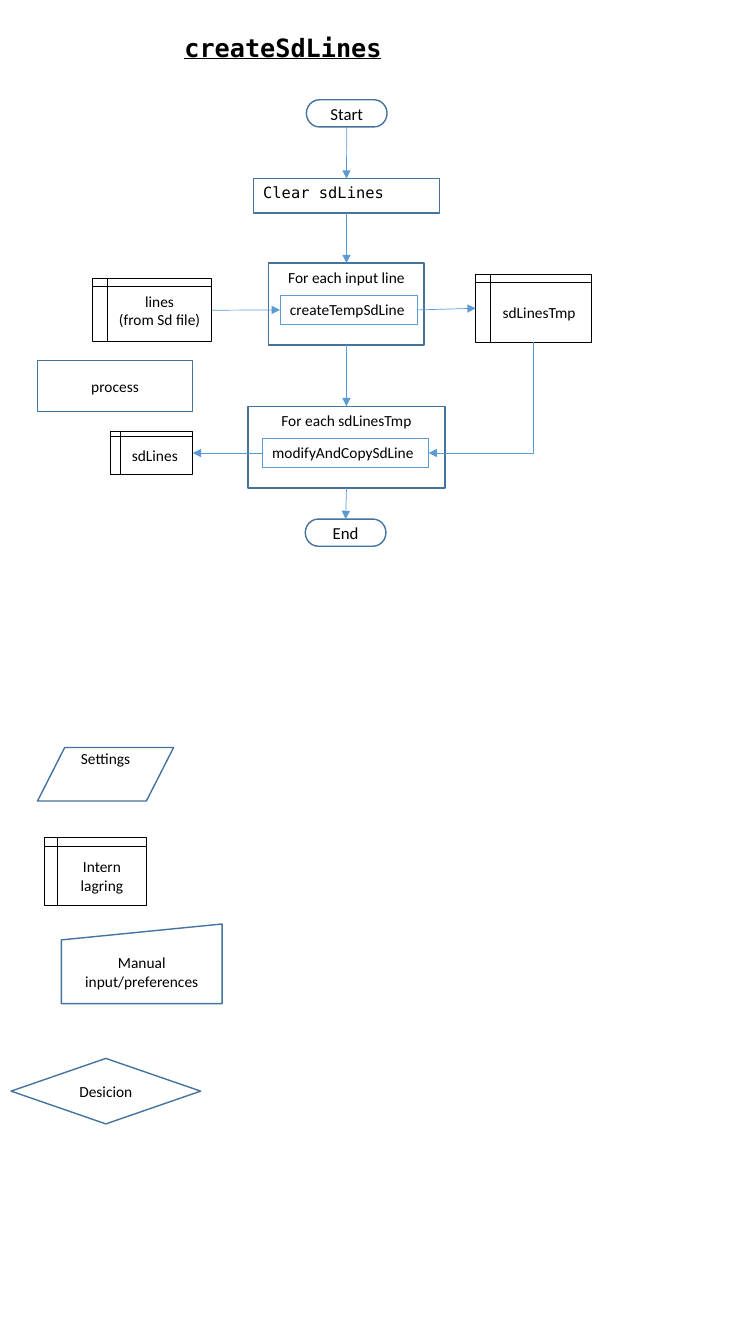
from lxml import etree
from pptx import Presentation
from pptx.dml.color import RGBColor
from pptx.enum.shapes import MSO_CONNECTOR, MSO_SHAPE
from pptx.enum.text import MSO_ANCHOR, MSO_AUTO_SIZE, PP_ALIGN
from pptx.oxml.ns import qn
from pptx.util import Pt

PROCESS = MSO_SHAPE.FLOWCHART_PROCESS
STORAGE = MSO_SHAPE.FLOWCHART_INTERNAL_STORAGE
TERMINATOR = MSO_SHAPE.FLOWCHART_TERMINATOR
DATA = MSO_SHAPE.FLOWCHART_DATA
MANUAL = MSO_SHAPE.FLOWCHART_MANUAL_INPUT
DECISION = MSO_SHAPE.FLOWCHART_DECISION
RECT = MSO_SHAPE.RECTANGLE
STRAIGHT, ELBOW = MSO_CONNECTOR.STRAIGHT, MSO_CONNECTOR.ELBOW
TOP_ANCHOR, MIDDLE = MSO_ANCHOR.TOP, MSO_ANCHOR.MIDDLE
LEFT_ALIGN, CENTER = PP_ALIGN.LEFT, PP_ALIGN.CENTER
FIT_SHAPE = MSO_AUTO_SIZE.SHAPE_TO_FIT_TEXT

# Connection sites of a box
TOP, LEFT, BOTTOM, RIGHT = range(4)

SANS, MONO = "Calibri", "DejaVu Sans Mono"
COLORS = {"outline": "43739E", "accent": "5B9BD5", "text": "000000"}


def rgb(name):
    return RGBColor.from_string(COLORS[name])


def add_box(slide, kind, box, text, size=11, font=SANS, line="outline",
            weight=1, anchor=MIDDLE, align=CENTER):
    s = slide.shapes.add_shape(kind, *map(Pt, box))
    s.shadow.inherit = False
    s.fill.background()
    if line:
        s.line.color.rgb = rgb(line)
        s.line.width = Pt(weight)
    else:
        s.line.fill.background()
    tf = s.text_frame
    tf.text = text
    tf.word_wrap = True
    tf.vertical_anchor = anchor
    for p in tf.paragraphs:
        p.alignment = align
        for r in p.runs:
            r.font.name = font
            r.font.size = Pt(size)
            r.font.color.rgb = rgb("text")
    return s


def add_storage(slide, box, text, anchor=MIDDLE):
    return add_box(slide, STORAGE, box, text, line="text", weight=0.5,
                   anchor=anchor)


def add_call(slide, box, text, wrap=True):
    s = add_box(slide, RECT, box, text, line="accent", weight=0.75,
                anchor=TOP_ANCHOR, align=LEFT_ALIGN)
    s.text_frame.auto_size = FIT_SHAPE
    s.text_frame.word_wrap = wrap
    return s


def add_arrow(slide, start, start_site, end, end_site, kind=STRAIGHT):
    c = slide.shapes.add_connector(kind, 0, 0, 0, 0)
    c.begin_connect(start, start_site)
    c.end_connect(end, end_site)
    c.line.color.rgb = rgb("accent")
    c.line.width = Pt(0.5)
    sp_pr = c._element.spPr
    etree.SubElement(sp_pr.find(qn("a:ln")), qn("a:tailEnd"), type="triangle")
    etree.SubElement(sp_pr, qn("a:effectLst"))
    return c


def add_down_left_arrow(slide, start, end):
    """Arrow from the bottom of start, down and then left to the side of end."""
    c = add_arrow(slide, start, BOTTOM, end, RIGHT, ELBOW)
    x1, y1, x2, y2 = c.begin_x, c.begin_y, c.end_x, c.end_y
    across, down = x1 - x2, y2 - y1
    # A quarter turn swaps width and height about the centre
    c.left, c.top = (x1 + x2 - down) // 2, (y1 + y2 - across) // 2
    c.width, c.height = down, across
    sp_pr = c._element.spPr
    xfrm = sp_pr.find(qn("a:xfrm"))
    xfrm.attrib.pop("flipH", None)
    xfrm.attrib.pop("flipV", None)
    xfrm.set("rot", str(90 * 60000))
    sp_pr.find(qn("a:prstGeom")).set("prst", "bentConnector2")


def add_flow(slide):
    # Main column
    start = add_box(slide, TERMINATOR, (218.9, 71.3, 57.6, 19.4), "Start", 12)
    clear = add_box(slide, PROCESS, (180.9, 127.6, 133.2, 24.7),
                    "Clear sdLines", font=MONO, anchor=TOP_ANCHOR,
                    align=LEFT_ALIGN)
    input_loop = add_box(slide, PROCESS, (192, 188, 111, 58.5),
                         "For each input line", anchor=TOP_ANCHOR)
    tmp_loop = add_box(slide, PROCESS, (177.2, 290.2, 140.6, 58.5),
                       "For each sdLinesTmp", anchor=TOP_ANCHOR)
    end = add_box(slide, TERMINATOR, (218.1, 370.8, 57.6, 19.4), "End", 12)

    # Functions called inside the loops
    create = add_call(slide, (200, 211, 98, 20.8), "createTempSdLine", False)
    modify = add_call(slide, (187.3, 313.2, 118.8, 20.8),
                      "modifyAndCopySdLine")

    # Stored data
    lines = add_storage(slide, (66.2, 199.2, 85, 44.8),
                        "lines\n(from Sd file)", TOP_ANCHOR)
    lines_tmp = add_storage(slide, (339.8, 196, 82.8, 48.4), "sdLinesTmp ")
    sd_lines = add_storage(slide, (78.7, 308.2, 59, 30.8), "sdLines ")

    # Arrows
    column = [start, clear, input_loop, tmp_loop, end]
    for upper, lower in zip(column, column[1:]):
        add_arrow(slide, upper, BOTTOM, lower, TOP)
    add_arrow(slide, lines, RIGHT, create, LEFT)
    add_arrow(slide, create, RIGHT, lines_tmp, LEFT)
    add_arrow(slide, modify, LEFT, sd_lines, RIGHT)
    add_down_left_arrow(slide, lines_tmp, modify)


def add_symbols(slide):
    add_box(slide, PROCESS, (26.8, 257.4, 110.9, 36.7), "process")
    settings = add_box(slide, DATA, (26.8, 534, 97.2, 38.2), "Settings",
                       anchor=TOP_ANCHOR)
    settings.text_frame.margin_top = Pt(1.4)
    add_storage(slide, (31.7, 598.3, 73.2, 48.5), "Intern lagring")
    add_box(slide, MANUAL, (43.9, 660, 114.8, 56.9),
            "Manual input/preferences")
    decision = add_box(slide, DECISION, (7.9, 756, 135.4, 46.8), "Desicion")
    decision.text_frame.margin_left = Pt(2.9)
    decision.text_frame.margin_right = Pt(2.9)


def main():
    prs = Presentation()
    prs.slide_width, prs.slide_height = Pt(540), Pt(960)
    slide = prs.slides.add_slide(prs.slide_layouts[6])

    # Title
    title = add_box(slide, PROCESS, (124.6, 19.4, 155.5, 20.2),
                    "createSdLines", 18, MONO, line=None, anchor=TOP_ANCHOR,
                    align=LEFT_ALIGN)
    font = title.text_frame.paragraphs[0].runs[0].font
    font.bold = font.underline = True

    add_flow(slide)
    add_symbols(slide)
    prs.save("out.pptx")


main()
